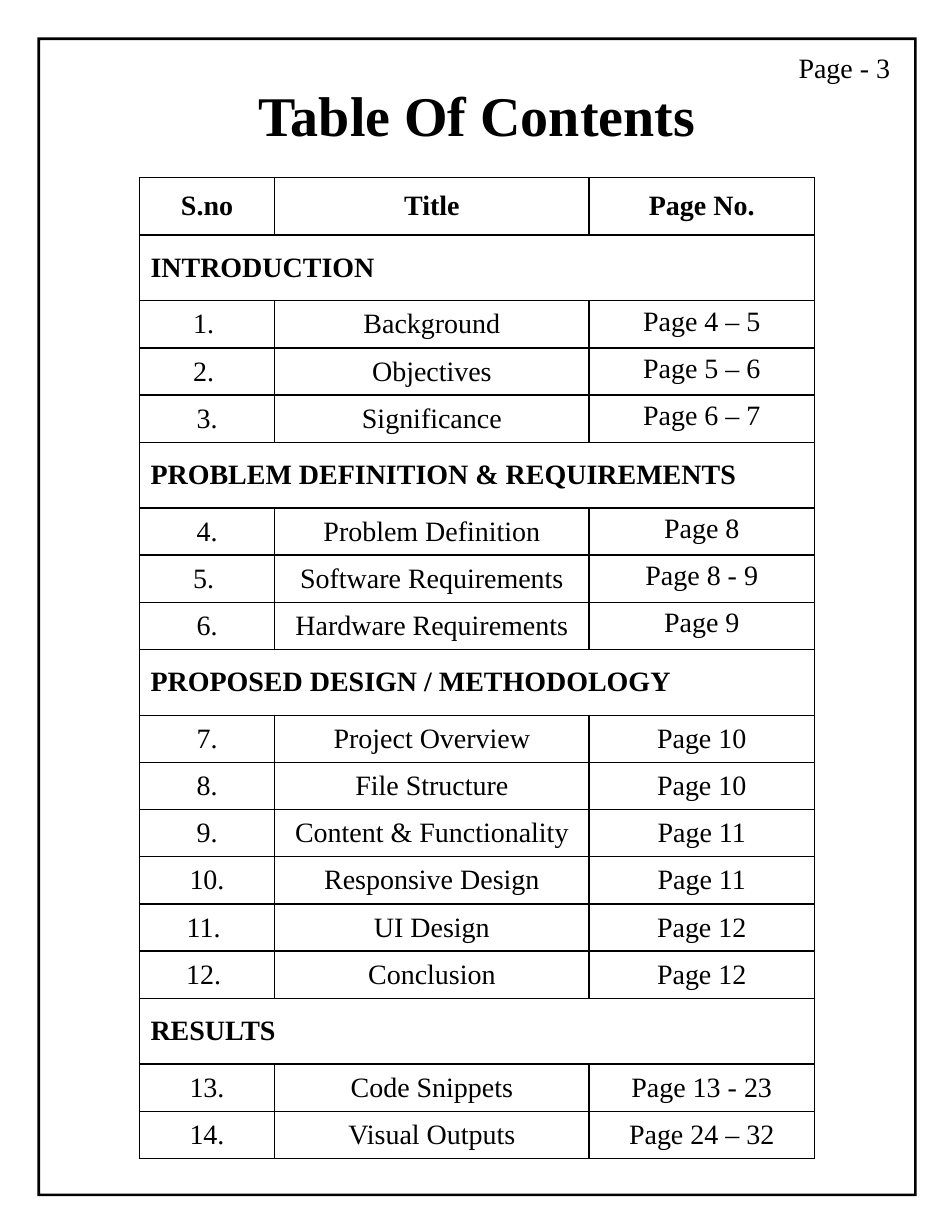
from lxml import etree
from pptx import Presentation
from pptx import util as u
from pptx.dml.color import RGBColor
from pptx.enum import text
from pptx.oxml import ns

BLACK = RGBColor(0, 0, 0)
HEADER = ("S.no", "Title", "Page No.")
# Each section: heading, anchor of its page cells, entries
SECTIONS = [
    ("INTRODUCTION", text.MSO_ANCHOR.TOP, [
        ("1. ", "Background", "Page 4 – 5"),
        ("2. ", "Objectives", "Page 5 – 6"),
        ("3.", "Significance", "Page 6 – 7")]),
    ("PROBLEM DEFINITION & REQUIREMENTS", text.MSO_ANCHOR.TOP, [
        ("4.", "Problem Definition", "Page 8"),
        ("5. ", "Software Requirements", "Page 8 - 9"),
        ("6.", "Hardware Requirements", "Page 9")]),
    ("PROPOSED DESIGN / METHODOLOGY", text.MSO_ANCHOR.MIDDLE, [
        ("7.", "Project Overview", "Page 10"),
        ("8.", "File Structure", "Page 10"),
        ("9.", "Content & Functionality", "Page 11"),
        ("10.", "Responsive Design", "Page 11"),
        ("11. ", "UI Design", "Page 12"),
        ("12. ", "Conclusion", "Page 12")]),
    ("RESULTS", text.MSO_ANCHOR.MIDDLE, [
        ("13.", "Code Snippets", "Page 13 - 23"),
        ("14.", "Visual Outputs", "Page 24 – 32")]),
]
COLUMN_WIDTHS = (3.07, 7.13, 5.11)
HEADER_HEIGHT, SECTION_HEIGHT, ENTRY_HEIGHT = 1.3, 1.49, 1.07


class ContentsPage:
    font_name = "Times New Roman"
    body_size = 18
    title_size = 36

    def __init__(self, deck):
        self.slide = deck.slides.add_slide(deck.slide_layouts[5])

    def set_text(self, frame, words, size=body_size, bold=False,
                 align=text.PP_ALIGN.CENTER):
        frame.text = words
        para = frame.paragraphs[0]
        para.alignment = align
        for span in para.runs:
            span.font.name = self.font_name
            span.font.size = u.Pt(size)
            span.font.bold = bold
            span.font.color.rgb = BLACK

    def title(self, words, left, top, width, height):
        box = self.slide.shapes.title
        box.left, box.top, box.width, box.height = map(u.Cm, (left, top, width, height))
        frame = box.text_frame
        frame.vertical_anchor = text.MSO_ANCHOR.TOP
        frame.auto_size = text.MSO_AUTO_SIZE.NONE
        self.set_text(frame, words, self.title_size, bold=True)

    def label(self, words, left, top, width, height):
        box = self.slide.shapes.add_textbox(*map(u.Cm, (left, top, width, height)))
        box.text_frame.word_wrap = True
        self.set_text(box.text_frame, words, align=text.PP_ALIGN.LEFT)

    def border(self, left, top, right, bottom, thickness):
        """Draw a filled ring: the outer edge, then the inner edge reversed."""
        def corners(inset):
            x1, y1, x2, y2 = left + inset, top + inset, right - inset, bottom - inset
            return [(u.Cm(x), u.Cm(y)) for x, y in
                    ((x1, y1), (x2, y1), (x2, y2), (x1, y2), (x1, y1))]

        outer, inner = corners(0), corners(thickness)[::-1]
        builder = self.slide.shapes.build_freeform(*outer[0])
        builder.add_line_segments(outer[1:] + inner, close=True)
        ring = builder.convert_to_shape()
        ring.shadow.inherit = False
        ring.fill.solid()
        ring.fill.fore_color.rgb = BLACK
        ring.line.fill.background()

    def cell(self, cell, words, bold=False, align=text.PP_ALIGN.CENTER,
             anchor=text.MSO_ANCHOR.MIDDLE):
        self.set_text(cell.text_frame, words, bold=bold, align=align)
        cell.vertical_anchor = anchor

    def outline_cell(self, cell):
        cell.fill.background()
        properties = cell._tc.get_or_add_tcPr()
        for position, side in enumerate(("a:lnL", "a:lnR", "a:lnT", "a:lnB")):
            line = etree.Element(ns.qn(side), w=str(u.Pt(1)))
            fill = etree.SubElement(line, ns.qn("a:solidFill"))
            etree.SubElement(fill, ns.qn("a:srgbClr"), val=str(BLACK))
            properties.insert(position, line)

    def contents_table(self, left, top):
        heights = [HEADER_HEIGHT]
        for _, _, entries in SECTIONS:
            heights += [SECTION_HEIGHT] + [ENTRY_HEIGHT] * len(entries)
        table = self.slide.shapes.add_table(
            len(heights), len(COLUMN_WIDTHS), u.Cm(left), u.Cm(top),
            u.Cm(sum(COLUMN_WIDTHS)), u.Cm(sum(heights))).table
        table.first_row = table.horz_banding = False
        for column, width in zip(table.columns, COLUMN_WIDTHS):
            column.width = u.Cm(width)
        for row, height in zip(table.rows, heights):
            row.height = u.Cm(height)
        for cell in table.iter_cells():
            self.outline_cell(cell)

        for column, words in enumerate(HEADER):
            self.cell(table.cell(0, column), words, bold=True)
        row = 1
        for heading, page_anchor, entries in SECTIONS:
            table.cell(row, 0).merge(table.cell(row, len(HEADER) - 1))
            self.cell(table.cell(row, 0), heading, bold=True, align=text.PP_ALIGN.LEFT)
            for row, (number, name, pages) in enumerate(entries, row + 1):
                self.cell(table.cell(row, 0), number)
                self.cell(table.cell(row, 1), name)
                self.cell(table.cell(row, 2), pages, anchor=page_anchor)
            row += 1


def main():
    deck = Presentation()
    deck.slide_width, deck.slide_height = u.Cm(21.59), u.Cm(27.94)
    page = ContentsPage(deck)
    page.border(0.85, 0.85, 20.79, 27.13, 0.06)
    page.title("Table Of Contents", 1.93, 1.7, 17.78, 1.8)
    page.contents_table(3.16, 4.03)
    page.label("Page - 3", 17.86, 1.02, 2.97, 1.07)
    deck.save("out.pptx")


if __name__ == "__main__":
    main()
